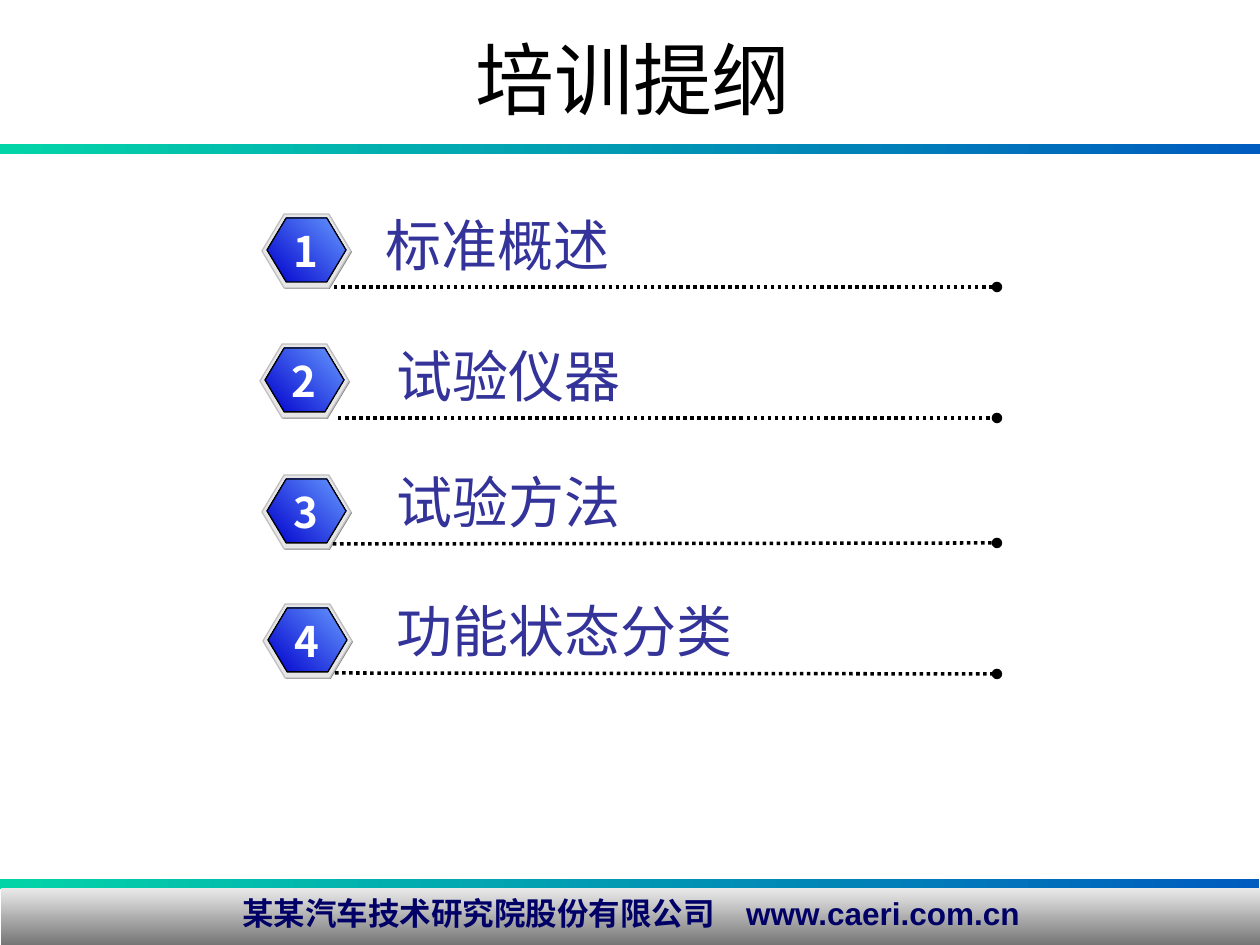
from lxml import etree
from pptx import Presentation
from pptx.dml.color import RGBColor
from pptx.enum import dml, shapes, text
from pptx.oxml.ns import qn
from pptx.util import Pt

PX = 914400 // 126
CJK = "Noto Sans CJK SC"

TITLE = "培训提纲"
FOOTER = "某某汽车技术研究院股份有限公司　www.caeri.com.cn"
# label, badge left and top, label left and top, line start x, line start y, line end y
TOPICS = [
    ("标准概述", 262, 214, 373, 204, 334, 287, 287),
    ("试验仪器", 260, 344, 384, 335, 338, 418, 418),
    ("试验方法", 262, 475, 384, 461, 333, 544, 543),
    ("功能状态分类", 263, 604, 384, 590, 335, 673, 674),
]
LINE_END = 997
LABEL_SIZE = (520, 81)
# offset from the badge corner, size, fill, outline
BADGE_LAYERS = [
    (1, 1, 89, 74, ("808080",), None),
    (0, 0, 89, 74, ("E6E6E6",), "C0C0C0"),
    (5, 4, 79, 64, ("0000CC", "6699FF"), "000000"),
]
BARS = [(0, 144, 1260, 10), (0, 879, 1259, 10)]


def color(value):
    return RGBColor.from_string(value)


def px(*values):
    return [value * PX for value in values]


def add_filled(kind, box, colors, angle=0, outline=None):
    """Add a preset shape; two colours make a gradient, angle counter-clockwise."""
    shape = slide.shapes.add_shape(kind, *px(*box))
    shape.shadow.inherit = False
    if len(colors) == 1:
        shape.fill.solid()
        shape.fill.fore_color.rgb = color(colors[0])
    else:
        shape.fill.gradient()
        shape.fill.gradient_angle = angle
        for stop, value in zip(shape.fill.gradient_stops, colors):
            stop.color.rgb = color(value)
    if outline:
        shape.line.color.rgb = color(outline)
        shape.line.width = Pt(0.75)
    else:
        shape.line.fill.background()
    return shape


def write(shape, content, size, ink, align, anchor=text.MSO_ANCHOR.TOP,
          bold=False, font=CJK, wrap=True):
    frame = shape.text_frame
    frame.word_wrap = wrap
    frame.auto_size = text.MSO_AUTO_SIZE.NONE
    frame.vertical_anchor = anchor
    paragraph = frame.paragraphs[0]
    paragraph.text = content
    paragraph.alignment = align
    paragraph.font.size = Pt(size)
    paragraph.font.bold = bold
    paragraph.font.color.rgb = color(ink)
    paragraph.font.name = font
    properties = paragraph._p.pPr.find(qn("a:defRPr"))
    etree.SubElement(properties, qn("a:ea")).set("typeface", CJK)


def add_dotted_line(*ends):
    connector = slide.shapes.add_connector(shapes.MSO_CONNECTOR.STRAIGHT, *px(*ends))
    connector.line.color.rgb = color("000000")
    connector.line.width = Pt(2)
    connector.line.dash_style = dml.MSO_LINE.ROUND_DOT
    outline = connector.line._get_or_add_ln()
    etree.SubElement(outline, qn("a:tailEnd")).set("type", "oval")
    etree.SubElement(connector._element.spPr, qn("a:effectLst"))


def add_badge(number, left, top):
    for dx, dy, width, height, colors, outline in BADGE_LAYERS:
        hexagon = add_filled(shapes.MSO_SHAPE.HEXAGON, (left + dx, top + dy, width, height),
                             colors, 45, outline)
        hexagon.adjustments[0] = 0.3
    box = slide.shapes.add_textbox(*px(left + 19, top + 5, 49, 63))
    write(box, str(number), 24, "FFFFFF", text.PP_ALIGN.CENTER, bold=True, wrap=False)


presentation = Presentation()
presentation.slide_width, presentation.slide_height = px(1260, 945)
slide = presentation.slides.add_slide(presentation.slide_layouts[5])

for bar in BARS:
    add_filled(shapes.MSO_SHAPE.RECTANGLE, bar, ("03D4A8", "005CBF"))
footer = add_filled(shapes.MSO_SHAPE.RECTANGLE, (1, 888, 1260, 62), ("EAEAEA", "6C6C6C"), 270)
write(footer, FOOTER, 18, "000066", text.PP_ALIGN.CENTER, bold=True, font="Arial")

title = slide.shapes.title
title.left, title.top, title.width, title.height = px(20, 20, 1226, 116)
write(title, TITLE, 45, "000000", text.PP_ALIGN.CENTER, text.MSO_ANCHOR.MIDDLE)

for number, (label, left, top, label_left, label_top, start, y1, y2) in enumerate(TOPICS, 1):
    add_badge(number, left, top)
    add_dotted_line(start, y1, LINE_END, y2)
    box = slide.shapes.add_textbox(*px(label_left, label_top, *LABEL_SIZE))
    write(box, label, 32, "333399", text.PP_ALIGN.LEFT)

presentation.save("out.pptx")
